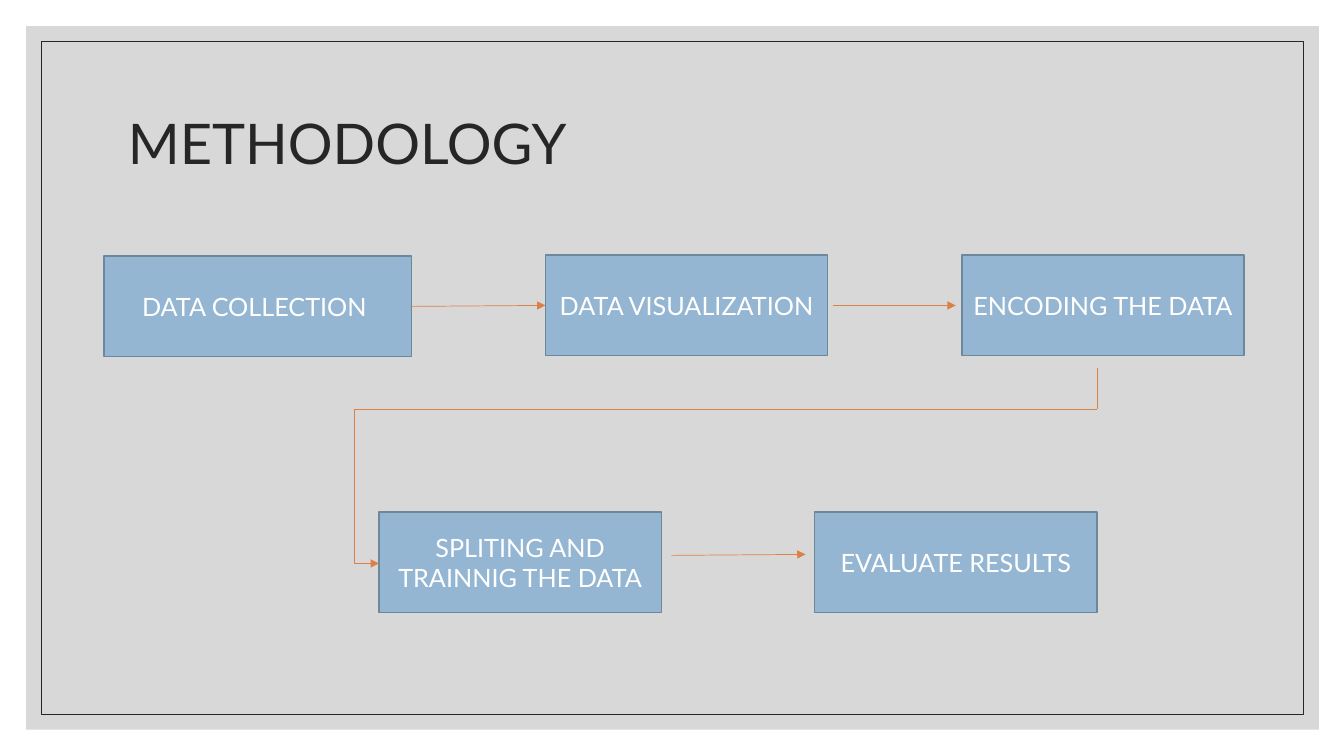
from lxml.etree import SubElement
from pptx import Presentation
from pptx.dml.color import RGBColor
from pptx.enum.shapes import MSO_CONNECTOR, MSO_SHAPE
from pptx.enum.text import MSO_ANCHOR, PP_ALIGN
from pptx.oxml.ns import qn
from pptx.util import Inches, Pt

FONT = "Lato"
COLORS = {
    "panel": "BFBFBF",
    "ink": "262626",
    "box": "94B6D2",
    "edge": "6D879B",
    "arrow": "DD8047",
    "white": "FFFFFF",
}
TALL = 1  # height of every step box
STEPS = [  # left, top, width, label
    (1.03, 2.54, 3.05, "DATA COLLECTION "),
    (5.41, 2.53, 2.8, "DATA VISUALIZATION"),
    (9.54, 2.53, 2.8, "ENCODING THE DATA"),
    (3.76, 5.08, 2.8, "SPLITING AND TRAINNIG THE DATA"),
    (8.08, 5.08, 2.8, "EVALUATE RESULTS"),
]
ARROWS = [  # start x, start y, end x, end y
    (8.26, 3.03, 9.48, 3.03),
    (4.07, 3.04, 5.41, 3.03),
    (6.66, 5.51, 7.99, 5.5),
]


def color(name):
    return RGBColor.from_string(COLORS[name])


def add_rect(slide, left, top, width, height, fill=None, line=None, weight=1):
    rect = slide.shapes.add_shape(
        MSO_SHAPE.RECTANGLE, Inches(left), Inches(top), Inches(width), Inches(height))
    rect.shadow.inherit = False
    if fill:
        rect.fill.solid()
        rect.fill.fore_color.rgb = color(fill)
    else:
        rect.fill.background()
    if line:
        rect.line.color.rgb = color(line)
        rect.line.width = Pt(weight)
    else:
        rect.line.fill.background()
    return rect


def set_text(shape, text, size, ink, align):
    frame = shape.text_frame
    frame.word_wrap = True
    frame.vertical_anchor = MSO_ANCHOR.MIDDLE
    frame.text = text
    para = frame.paragraphs[0]
    para.alignment = align
    font = para.runs[0].font
    font.name = FONT
    font.size = Pt(size)
    font.color.rgb = color(ink)
    return para


def add_frame(slide):
    panel = add_rect(slide, 0.26, 0.26, 12.82, 6.98, fill="panel")
    tint = panel.fill._xPr.find(qn("a:solidFill"))[0]
    SubElement(tint, qn("a:alpha"), val="60000")
    add_rect(slide, 0.41, 0.41, 12.52, 6.68, line="ink", weight=0.5)


def add_title(slide, text):
    box = slide.shapes.add_textbox(Inches(1.17), Inches(0.7), Inches(11), Inches(1.5))
    para = set_text(box, text, 40, "ink", PP_ALIGN.LEFT)
    para.line_spacing = 0.9


def add_step(slide, left, top, width, label):
    box = add_rect(slide, left, top, width, TALL, fill="box", line="edge")
    set_text(box, label, 18, "white", PP_ALIGN.CENTER)


def add_link(slide, ends, kind=MSO_CONNECTOR.STRAIGHT, head=True):
    link = slide.shapes.add_connector(kind, *[Inches(n) for n in ends])
    link.line.color.rgb = color("arrow")
    link.line.width = Pt(0.5)
    if head:
        SubElement(link.line._get_or_add_ln(), qn("a:tailEnd"), type="triangle")
    SubElement(link._element.spPr, qn("a:effectLst"))
    return link


def add_elbow(slide, ends, bend):
    link = add_link(slide, ends, MSO_CONNECTOR.ELBOW)
    geom = link._element.spPr.find(qn("a:prstGeom"))
    guides = geom.find(qn("a:avLst"))
    if guides is None:
        guides = SubElement(geom, qn("a:avLst"))
    SubElement(guides, qn("a:gd"), name="adj1", fmla=f"val {round(bend * 100000)}")


def main():
    deck = Presentation()
    deck.slide_width = Inches(13.33)
    deck.slide_height = Inches(7.5)
    slide = deck.slides.add_slide(deck.slide_layouts[6])

    # Backdrop and title
    add_frame(slide)
    add_title(slide, "METHODOLOGY")

    # Process steps
    for step in STEPS:
        add_step(slide, *step)

    # Arrows within each row
    for ends in ARROWS:
        add_link(slide, ends)

    # Turn from the upper row to the lower row
    add_elbow(slide, (10.88, 4.06, 3.76, 5.59), 1.035)
    add_link(slide, (10.88, 3.65, 10.88, 4.06), head=False)

    deck.save("out.pptx")


if __name__ == "__main__":
    main()
